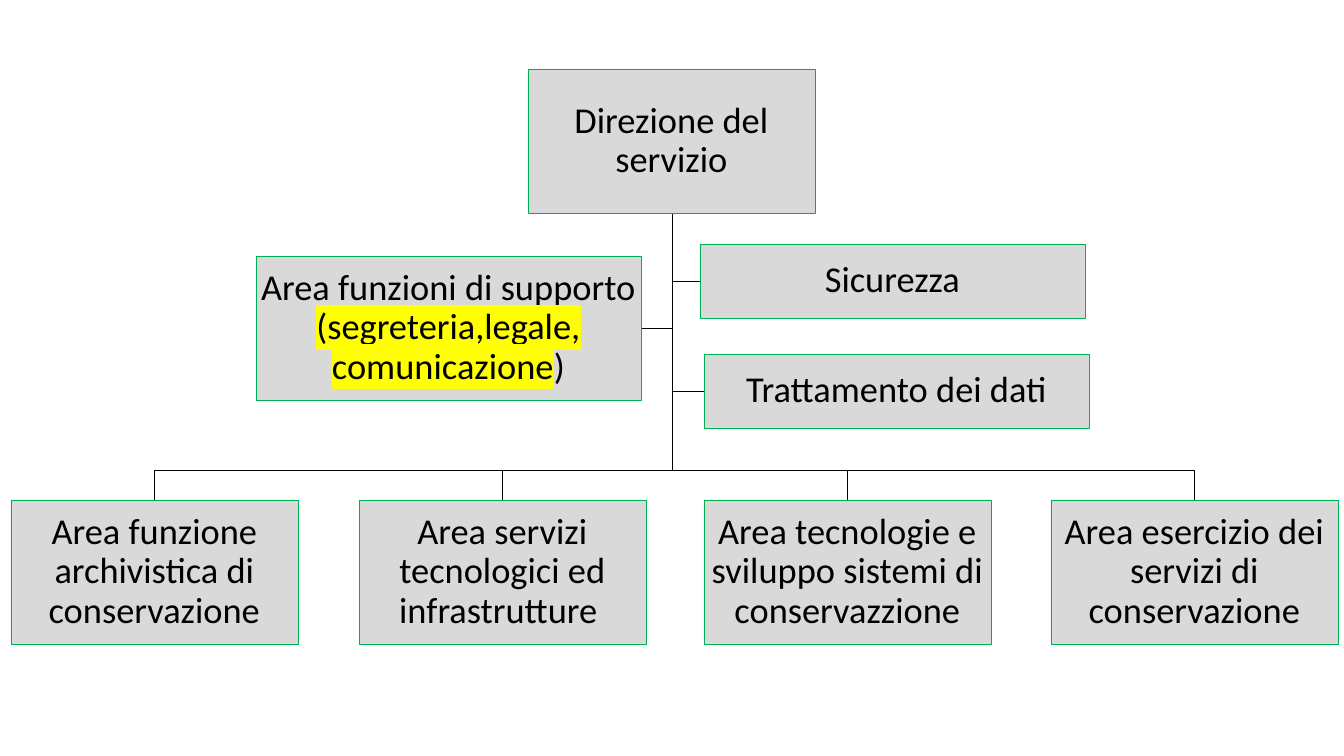
from dataclasses import dataclass

from lxml import etree
from pptx import Presentation, util as u
from pptx.dml.color import RGBColor
from pptx.enum import shapes, text
from pptx.oxml.ns import qn


@dataclass(frozen=True)
class Theme:
    font: str = "Calibri"
    size: int = 26
    line_width: float = 0.5
    ink: str = "000000"
    box_fill: str = "D9D9D9"
    box_line: str = "00B050"
    highlight: str = "FFFF00"


THEME = Theme()
EMU_PER_PIXEL = 914400 / 100.8
INSET = 2

# Sizes and places in pixels
AREA_WIDTH, SIDE_WIDTH = 287, 385
TALL, LOW = 144, 74
TRUNK_X, BRANCH_Y, AREA_TOP = 672, 470, 500
ROOT_LEFT, ROOT_TOP = 528, 69
SUPPORT_LEFT, SUPPORT_TOP = 256, 256

# Each label is a list of (words, highlighted) parts
SUPPORT_LABEL = [
    ("Area funzioni di supporto ", False),
    ("(segreteria,legale, comunicazione", True),
    (")", False),
]
STAFF = [(700, 244, "Sicurezza"), (704, 354, "Trattamento dei dati")]
AREAS = [
    (11, "Area funzione archivistica di conservazione"),
    (359, "Area servizi tecnologici ed infrastrutture "),
    (704, "Area tecnologie e sviluppo sistemi di conservazzione"),
    (1051, "Area esercizio dei servizi di conservazione"),
]


def px(pixels):
    return u.Emu(round(pixels * EMU_PER_PIXEL))


def color(value):
    return RGBColor.from_string(value)


def set_line(shape, value):
    shape.line.color.rgb = color(value)
    shape.line.width = u.Pt(THEME.line_width)
    shape.shadow.inherit = False


def highlight(run):
    mark = etree.SubElement(run._r.get_or_add_rPr(), qn("a:highlight"))
    etree.SubElement(mark, qn("a:srgbClr"), val=THEME.highlight)


def add_box(slide, left, top, width, height, label):
    shape = slide.shapes.add_shape(
        shapes.MSO_SHAPE.RECTANGLE, px(left), px(top), px(width), px(height))
    shape.fill.solid()
    shape.fill.fore_color.rgb = color(THEME.box_fill)
    set_line(shape, THEME.box_line)

    frame = shape.text_frame
    frame.word_wrap = True
    frame.vertical_anchor = text.MSO_ANCHOR.MIDDLE
    frame.margin_left = frame.margin_right = px(INSET)
    frame.margin_top = frame.margin_bottom = px(INSET)

    paragraph = frame.paragraphs[0]
    paragraph.alignment = text.PP_ALIGN.CENTER
    paragraph.line_spacing = 0.9
    paragraph.font.name = THEME.font
    paragraph.font.size = u.Pt(THEME.size)
    paragraph.font.color.rgb = color(THEME.ink)
    for words, marked in label:
        run = paragraph.add_run()
        run.text = words
        if marked:
            highlight(run)


def add_branch(slide, *points):
    """Draw an angled line from the foot of the top box through the points."""
    builder = slide.shapes.build_freeform(px(TRUNK_X), px(ROOT_TOP + TALL))
    builder.add_line_segments([(px(x), px(y)) for x, y in points], close=False)
    shape = builder.convert_to_shape()
    shape.fill.background()
    set_line(shape, THEME.ink)


def main():
    presentation = Presentation()
    presentation.slide_width, presentation.slide_height = px(1344), px(756)
    slide = presentation.slides.add_slide(presentation.slide_layouts[6])

    # Branches to the side boxes
    for left, top, _ in STAFF:
        middle = top + LOW / 2
        add_branch(slide, (TRUNK_X, middle), (left, middle))
    middle = SUPPORT_TOP + TALL / 2
    add_branch(slide, (TRUNK_X, middle), (SUPPORT_LEFT + SIDE_WIDTH, middle))

    # Branches to the areas
    for left, _ in AREAS:
        center = left + AREA_WIDTH / 2
        add_branch(slide, (TRUNK_X, BRANCH_Y), (center, BRANCH_Y), (center, AREA_TOP))

    # Boxes
    add_box(slide, ROOT_LEFT, ROOT_TOP, AREA_WIDTH, TALL,
            [("Direzione del servizio", False)])
    for left, name in AREAS:
        add_box(slide, left, AREA_TOP, AREA_WIDTH, TALL, [(name, False)])
    add_box(slide, SUPPORT_LEFT, SUPPORT_TOP, SIDE_WIDTH, TALL, SUPPORT_LABEL)
    for left, top, name in STAFF:
        add_box(slide, left, top, SIDE_WIDTH, LOW, [(name, False)])

    presentation.save("out.pptx")


main()
